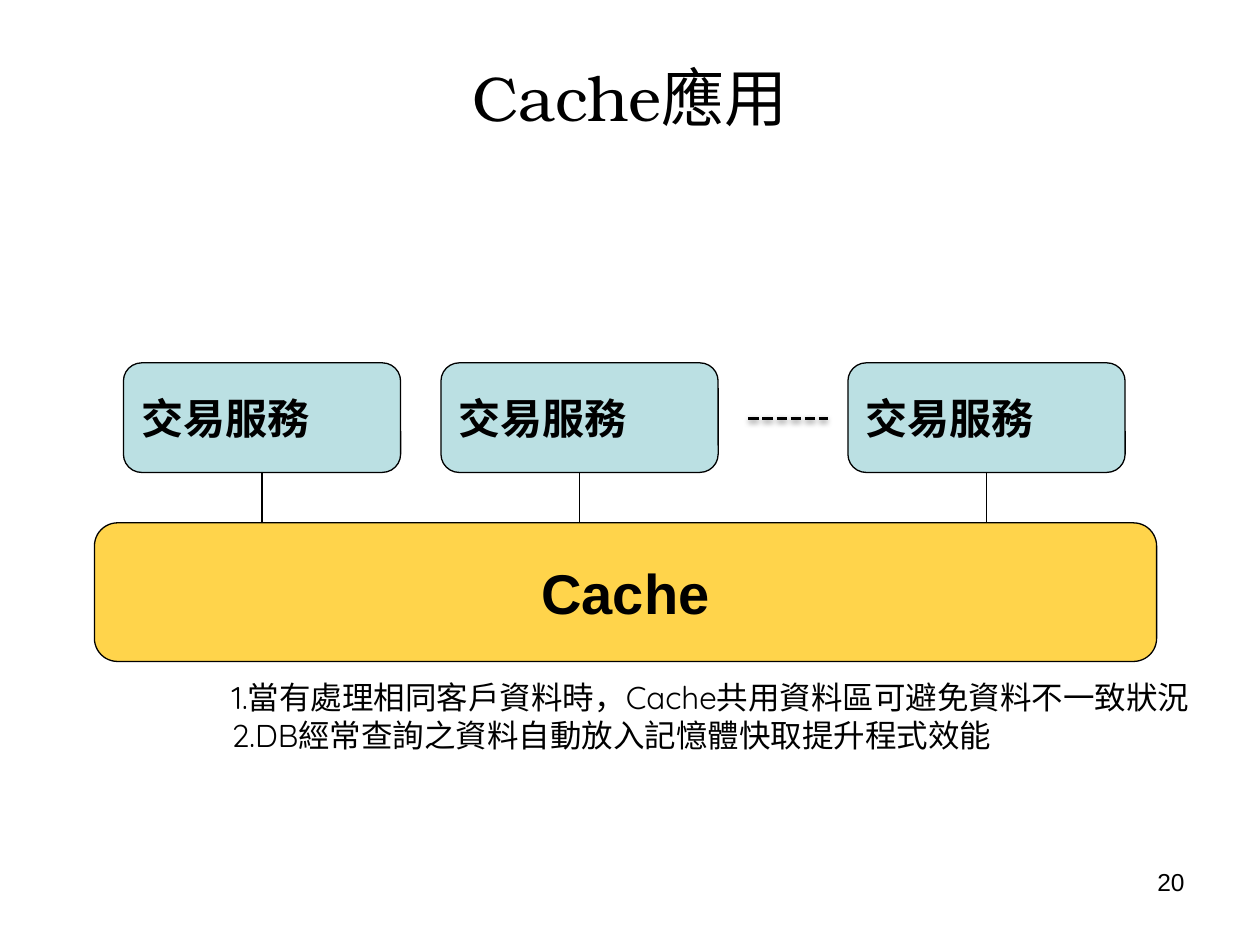
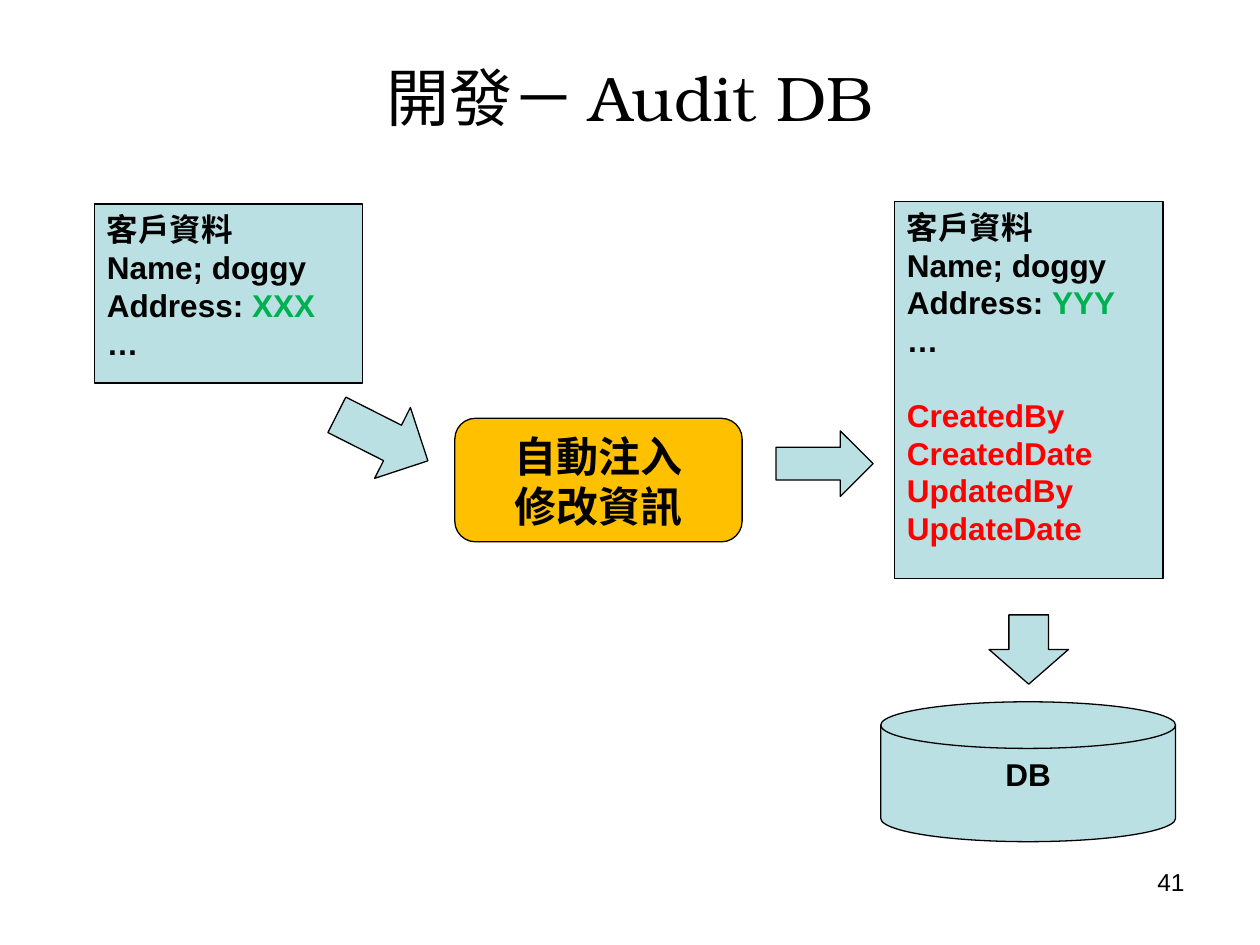
from lxml.etree import SubElement
from pptx import Presentation
from pptx.dml.color import RGBColor
from pptx.enum.dml import MSO_LINE
from pptx.enum.shapes import MSO_CONNECTOR, MSO_SHAPE
from pptx.enum.text import MSO_ANCHOR, PP_ALIGN
from pptx.oxml.ns import qn
from pptx.util import Inches, Pt

COLORS = {"black": "000000", "aqua": "BBE0E3", "yellow": "FFD44B",
          "orange": "FFC000", "green": "00B050", "red": "FF0000"}
CELL = Inches(10) / 40  # the slide is a grid of 40 columns by 30 rows
FORMATS = {
    "title": {"name": "TeX Gyre Bonum", "size": Pt(36)},
    "number": {"name": "Arial", "size": Pt(14)},
    "note": {"name": "Quicksand", "size": Pt(18)},
    "record": {"name": "Arial", "size": Pt(18), "bold": True},
    "step": {"name": "Arial", "size": Pt(24), "bold": True},
    "store": {"name": "Arial", "size": Pt(32), "bold": True},
}


def rgb(name):
    return RGBColor.from_string(COLORS[name])


def cells(*counts):
    return [round(n * CELL) for n in counts]


def write(tf, lines, style, align=PP_ALIGN.LEFT, anchor=MSO_ANCHOR.TOP):
    """Write one paragraph per line; a line is a list of (text, colour) runs."""
    tf.word_wrap = True
    tf.vertical_anchor = anchor
    for i, line in enumerate(lines):
        p = tf.add_paragraph() if i else tf.paragraphs[0]
        p.alignment = align
        for text, color in [(line, "black")] if isinstance(line, str) else line:
            r = p.add_run()
            r.text = text
            for key, value in FORMATS[style].items():
                setattr(r.font, key, value)
            r.font.color.rgb = rgb(color)


def add_slide(prs, title, number):
    s = prs.slides.add_slide(prs.slide_layouts[5])
    sp = s.shapes.title
    sp.left, sp.top, sp.width, sp.height = cells(2, 1.2, 36, 3.72)
    write(sp.text_frame, [title], "title", PP_ALIGN.CENTER, MSO_ANCHOR.MIDDLE)
    add_text(s, (28.68, 27.32, 9.32, 2.08), [number], "number", PP_ALIGN.RIGHT)
    return s


def add_text(s, at, lines, style, align=PP_ALIGN.LEFT):
    write(s.shapes.add_textbox(*cells(*at)).text_frame, lines, style, align)


def add_block(s, kind, at, fill="aqua", rotation=0):
    sp = s.shapes.add_shape(kind, *cells(*at))
    sp.shadow.inherit = False
    sp.fill.solid()
    sp.fill.fore_color.rgb = rgb(fill)
    sp.line.color.rgb = rgb("black")
    sp.line.width = Pt(0.75)
    sp.rotation = rotation
    return sp


def add_line(s, x1, y1, x2, y2, width=0.75):
    """Add a black line and return it with its empty effect list."""
    line = s.shapes.add_connector(MSO_CONNECTOR.STRAIGHT, x1, y1, x2, y2)
    line.line.color.rgb = rgb("black")
    line.line.width = Pt(width)
    return line, SubElement(line._element.spPr, qn("a:effectLst"))


def add_ellipsis_line(s, x1, x2, y):
    """Dashed line with a soft shadow, standing for further services."""
    line, effects = add_line(s, *cells(x1, y, x2, y), width=2)
    line.line.dash_style = MSO_LINE.SQUARE_DOT
    shadow = SubElement(effects, qn("a:outerShdw"), blurRad=str(Pt(3.1)),
                        dist=str(Pt(1.6)), dir="5400000", rotWithShape="0")
    color = SubElement(shadow, qn("a:srgbClr"), val=COLORS["black"])
    SubElement(color, qn("a:alpha"), val="38000")


def add_service(s, x, store):
    sp = add_block(s, MSO_SHAPE.ROUNDED_RECTANGLE, (x, 11.52, 8.8, 3.48))
    write(sp.text_frame, ["交易服務"], "step", anchor=MSO_ANCHOR.MIDDLE)
    middle = sp.left + sp.width // 2
    line, _ = add_line(s, middle, sp.top + sp.height, middle, store.top)
    line.begin_connect(sp, 2)


def add_record(s, at, address, audit_fields=()):
    sp = add_block(s, MSO_SHAPE.RECTANGLE, at)
    lines = ["客戶資料", "Name; doggy",
             [("Address: ", "black"), (address, "green")], "…"]
    first_audit = len(lines)
    lines += [[(field, "red")] for field in audit_fields]
    write(sp.text_frame, lines, "record")
    if audit_fields:
        sp.text_frame.paragraphs[first_audit].space_before = Pt(21)


def cache_slide(prs):
    s = add_slide(prs, "Cache應用", "20")
    store = add_block(s, MSO_SHAPE.ROUNDED_RECTANGLE,
                      (3, 16.6, 33.72, 4.4), "yellow")
    write(store.text_frame, ["Cache"], "store", PP_ALIGN.CENTER, MSO_ANCHOR.MIDDLE)
    for x in (3.92, 14, 26.92):
        add_service(s, x, store)
    add_ellipsis_line(s, 23.76, 26.28, 13.28)
    add_text(s, (6.96, 21.32, 31.48, 2.84),
             ["1.當有處理相同客戶資料時，Cache共用資料區可避免資料不一致狀況",
              "2.DB經常查詢之資料自動放入記憶體快取提升程式效能"], "note")


def audit_slide(prs):
    s = add_slide(prs, "開發－ Audit DB", "41")
    add_record(s, (3, 6.48, 8.52, 5.68), "XXX")
    add_record(s, (28.4, 6.4, 8.52, 11.96), "YYY",
               ("CreatedBy", "CreatedDate", "UpdatedBy", "UpdateDate"))
    inject = add_block(s, MSO_SHAPE.ROUNDED_RECTANGLE,
                       (14.44, 13.28, 9.12, 3.92), "orange")
    write(inject.text_frame, ["自動注入", "修改資訊"], "step", PP_ALIGN.CENTER)
    add_block(s, MSO_SHAPE.RIGHT_ARROW, (10.52, 12.64, 3.24, 2.52), rotation=26.8)
    add_block(s, MSO_SHAPE.RIGHT_ARROW, (24.64, 13.68, 3.08, 2.08))
    add_block(s, MSO_SHAPE.DOWN_ARROW, (31.4, 19.52, 2.52, 2.2))
    db = add_block(s, MSO_SHAPE.FLOWCHART_MAGNETIC_DISK, (27.96, 22.28, 9.36, 4.44))
    write(db.text_frame, ["DB"], "record", PP_ALIGN.CENTER)


def main():
    prs = Presentation()
    prs.slide_width, prs.slide_height = cells(40, 30)
    cache_slide(prs)
    audit_slide(prs)
    prs.save("out.pptx")


if __name__ == "__main__":
    main()
